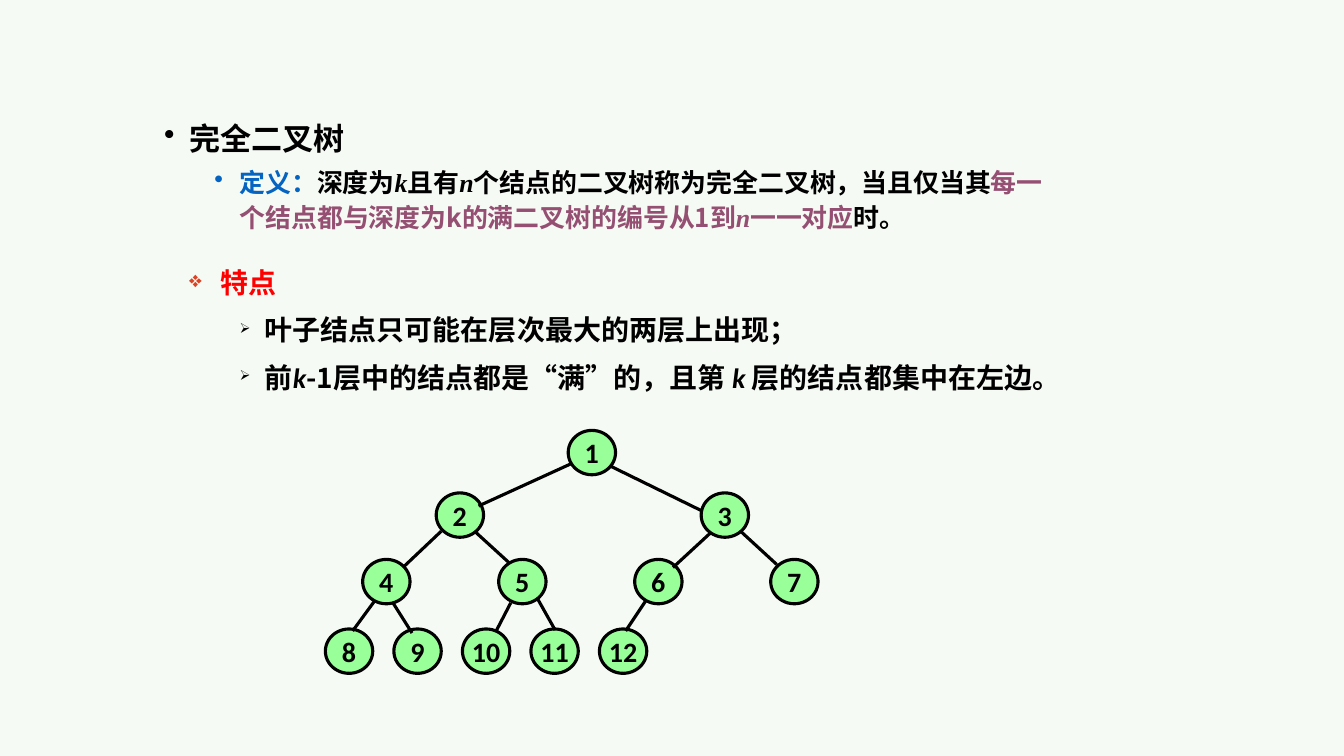
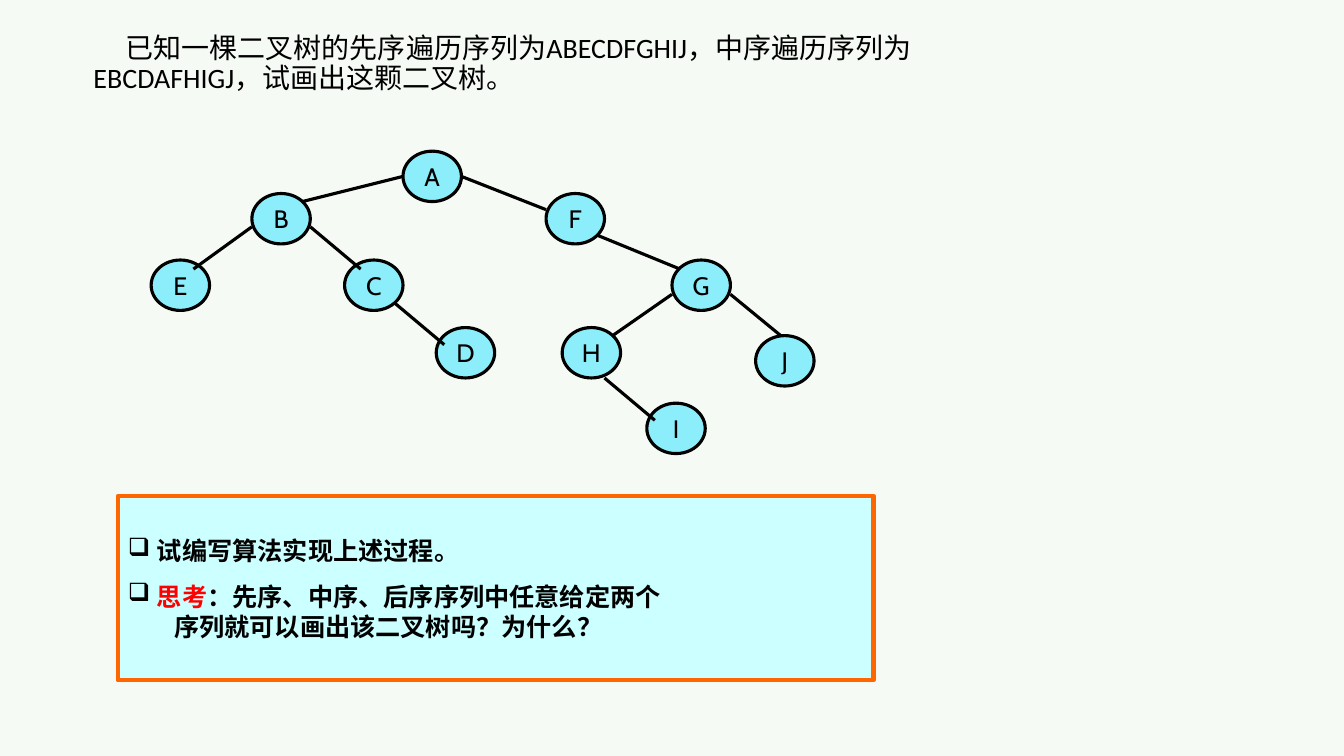
from lxml.etree import SubElement
from pptx import Presentation
from pptx.dml.color import RGBColor
from pptx.enum.shapes import MSO_CONNECTOR as CONNECTOR, MSO_SHAPE as SHAPE
from pptx.enum.text import MSO_ANCHOR as ANCHOR, PP_ALIGN as ALIGN
from pptx.oxml.ns import qn
from pptx.util import Inches, Pt

COLORS = {
    "background": "F6FAF4", "black": "000000", "blue": "0563C1", "plum": "954F72",
    "red": "FF0000", "rust": "DB4325", "green": "99FF99", "cyan": "8DEEFB",
    "pale": "CCFFFF", "orange": "FF6600",
}
SANS, SERIF, BODY, LABEL = "Noto Sans CJK SC", "Times New Roman", "Calibri", "Cabin"


def color(name):
    return RGBColor.from_string(COLORS[name])


def new_slide(presentation):
    slide = presentation.slides.add_slide(presentation.slide_layouts[6])
    slide.background.fill.solid()
    slide.background.fill.fore_color.rgb = color("background")
    return slide


def set_bullet(paragraph, character, color_name, percent=100):
    properties = paragraph._p.get_or_add_pPr()
    bullet_color = SubElement(properties, qn("a:buClr"))
    SubElement(bullet_color, qn("a:srgbClr"), val=COLORS[color_name])
    SubElement(properties, qn("a:buSzPct"), val=str(percent * 1000))
    SubElement(properties, qn("a:buChar"), char=character)


def add_paragraph(text_frame, runs, size, font=SANS, bold=True, margin=0, indent=0,
                  spacing=1.0, before=0, bullet=None):
    """Fill the empty first paragraph or append one; runs are (text, changes) pairs."""
    first = text_frame.paragraphs[0]
    paragraph = text_frame.add_paragraph() if first.runs else first
    properties = paragraph._p.get_or_add_pPr()
    properties.set("marL", str(Inches(margin)))
    properties.set("indent", str(Inches(indent)))
    paragraph.line_spacing = spacing
    paragraph.space_before = Pt(before)
    if bullet:
        set_bullet(paragraph, *bullet)
    for text, changes in runs:
        run = paragraph.add_run()
        run.text = text
        run.font.size = Pt(size)
        run.font.bold = bold
        run.font.name = changes.get("font", font)
        run.font.italic = changes.get("italic", False)
        run.font.color.rgb = color(changes.get("color", "black"))


def add_text_box(slide, box):
    text_frame = slide.shapes.add_textbox(*map(Inches, box)).text_frame
    text_frame.word_wrap = True
    return text_frame


def add_filled_shape(slide, kind, box, fill, line, line_width):
    shape = slide.shapes.add_shape(kind, *map(Inches, box))
    shape.shadow.inherit = False
    shape.fill.solid()
    shape.fill.fore_color.rgb = color(fill)
    shape.line.color.rgb = color(line)
    shape.line.width = Pt(line_width)
    shape.text_frame.vertical_anchor = ANCHOR.MIDDLE
    return shape


def add_tree(slide, origin, nodes, edges, node_size, fill, **text_style):
    """Draw nodes (label, x, y) and edges (x1, y1, x2, y2) measured from origin."""
    left, top = origin
    for label, x, y in nodes:
        node = add_filled_shape(slide, SHAPE.OVAL, (left + x, top + y, *node_size),
                                fill, "black", 2.25)
        node.text_frame.word_wrap = False
        add_paragraph(node.text_frame, [(label, {})], **text_style)
        node.text_frame.paragraphs[0].alignment = ALIGN.CENTER
    for x1, y1, x2, y2 in edges:
        edge = slide.shapes.add_connector(
            CONNECTOR.STRAIGHT, Inches(left + x1), Inches(top + y1),
            Inches(left + x2), Inches(top + y2))
        edge.line.color.rgb = color("black")
        edge.line.width = Pt(2.25)
        SubElement(edge._element.spPr, qn("a:effectLst"))


def add_definition(slide, box):
    text_frame = add_text_box(slide, box)
    variable = {"font": SERIF, "italic": True}
    plum = {"color": "plum"}
    add_paragraph(text_frame, [("完全二叉树", {})], 22.2, margin=0.25, indent=-0.25,
                  spacing=1.1, bullet=("•", "black"))
    add_paragraph(text_frame, [
        ("定义：", {"color": "blue"}), ("深度为", {}), ("k", variable), ("且有", {}),
        ("n", variable), ("个结点的二叉树称为完全二叉树，当且仅当其", {}),
        ("每一个结点都与深度为k的满二叉树的编号从1到", plum),
        ("n", {**variable, **plum}), ("一一对应", plum), ("时。", {}),
    ], 18.5, margin=0.75, indent=-0.25, spacing=1.1, before=5, bullet=("•", "blue"))


def add_features(slide, box):
    text_frame = add_text_box(slide, box)
    variable = {"font": BODY, "italic": True}
    add_paragraph(text_frame, [("特点", {"color": "red"})], 20, margin=0.56, indent=-0.31,
                  spacing=1.2, bullet=("❖", "rust", 80))
    features = [
        [("叶子结点只可能在层次最大的两层上出现；", {})],
        [("前", {}), ("k", variable), ("-1层中的结点都是“满”的，且第 ", {}),
         ("k ", variable), ("层的结点都集中在左边。", {})],
    ]
    for runs in features:
        add_paragraph(text_frame, runs, 20, margin=1, indent=-0.25, spacing=1.2,
                      before=5, bullet=("➢", "black", 50))


def add_complete_tree(slide, origin):
    # Each level: node count, left of first node, step between nodes, top
    levels = [(1, 2.41, 0, 0), (2, 1.1, 2.63, 0.62), (4, 0.37, 1.35, 1.28), (5, 0, 0.68, 1.97)]
    places = [(left + step * index, top)
              for count, left, step, top in levels for index in range(count)]
    nodes = [(str(number), x, y) for number, (x, y) in enumerate(places, 1)]
    edges = [
        (2.44, 0.33, 1.52, 0.75), (2.82, 0.35, 3.74, 0.8),
        (1.15, 1, 0.78, 1.35), (1.48, 1, 1.82, 1.31),
        (3.83, 1.01, 3.45, 1.36), (4.12, 1, 4.48, 1.33),
        (0.49, 1.69, 0.27, 1.99), (0.67, 1.71, 0.86, 2.01),
        (1.84, 1.71, 1.7, 1.98), (2.1, 1.66, 2.28, 1.98), (3.18, 1.69, 2.98, 1.99),
    ]
    add_tree(slide, origin, nodes, edges, (0.47, 0.44), "green", size=20, font=BODY)


def add_question(slide, box):
    text_frame = add_text_box(slide, box)
    text_frame.vertical_anchor = ANCHOR.BOTTOM
    question = "已知一棵二叉树的先序遍历序列为ABECDFGHIJ，中序遍历序列为EBCDAFHIGJ，试画出这颗二叉树。"
    add_paragraph(text_frame, [(question, {})], 20, font=BODY, bold=False, indent=0.32,
                  spacing=0.9)


def add_traversal_tree(slide, origin):
    nodes = [
        ("A", 2.5, 0), ("B", 1, 0.42), ("E", 0, 1.08), ("C", 1.92, 1.08), ("D", 2.83, 1.75),
        ("F", 3.92, 0.42), ("G", 5.17, 1.08), ("H", 4.08, 1.75), ("J", 6, 1.83), ("I", 4.92, 2.5),
    ]
    edges = [
        (2.5, 0.25, 1.5, 0.5), (3.92, 0.58, 3.08, 0.25), (1, 0.75, 0.42, 1.17),
        (1.58, 0.75, 2.08, 1.17), (2.41, 1.5, 2.91, 1.92), (5.25, 1.17, 4.42, 0.83),
        (5.17, 1.42, 4.58, 1.83), (5.75, 1.42, 6.25, 1.83), (4.5, 2.25, 5, 2.67),
    ]
    add_tree(slide, origin, nodes, edges, (0.58, 0.5), "cyan", size=18, font=LABEL, bold=False)


def add_exercise(slide, box):
    panel = add_filled_shape(slide, SHAPE.RECTANGLE, box, "pale", "orange", 3)
    text_frame = panel.text_frame
    text_frame.word_wrap = True
    item = {"size": 18, "font": LABEL, "margin": 0.29, "indent": -0.29, "bullet": ("❑", "black")}
    add_paragraph(text_frame, [("试编写算法实现上述过程。", {})], **item)
    add_paragraph(text_frame, [("思考", {"color": "red"}),
                               ("：先序、中序、后序序列中任意给定两个", {})], before=11.2, **item)
    add_paragraph(text_frame, [("序列就可以画出该二叉树吗？为什么？", {})], 18, font=LABEL,
                  margin=0.46)
    for paragraph in text_frame.paragraphs:
        paragraph.alignment = ALIGN.LEFT


def build_complete_tree_slide(presentation):
    slide = new_slide(presentation)
    add_definition(slide, (1.53, 1.1, 9.17, 1.5))
    add_complete_tree(slide, (3.23, 4.27))
    add_features(slide, (1.53, 2.52, 9.14, 1.84))


def build_traversal_slide(presentation):
    slide = new_slide(presentation)
    add_question(slide, (0.83, 0.25, 8.5, 0.74))
    add_traversal_tree(slide, (1.5, 1.5))
    add_exercise(slide, (1.17, 4.92, 7.5, 1.83))


def main():
    presentation = Presentation()
    presentation.slide_width, presentation.slide_height = Inches(13.34), Inches(7.5)
    build_complete_tree_slide(presentation)
    build_traversal_slide(presentation)
    presentation.save("out.pptx")


if __name__ == "__main__":
    main()
